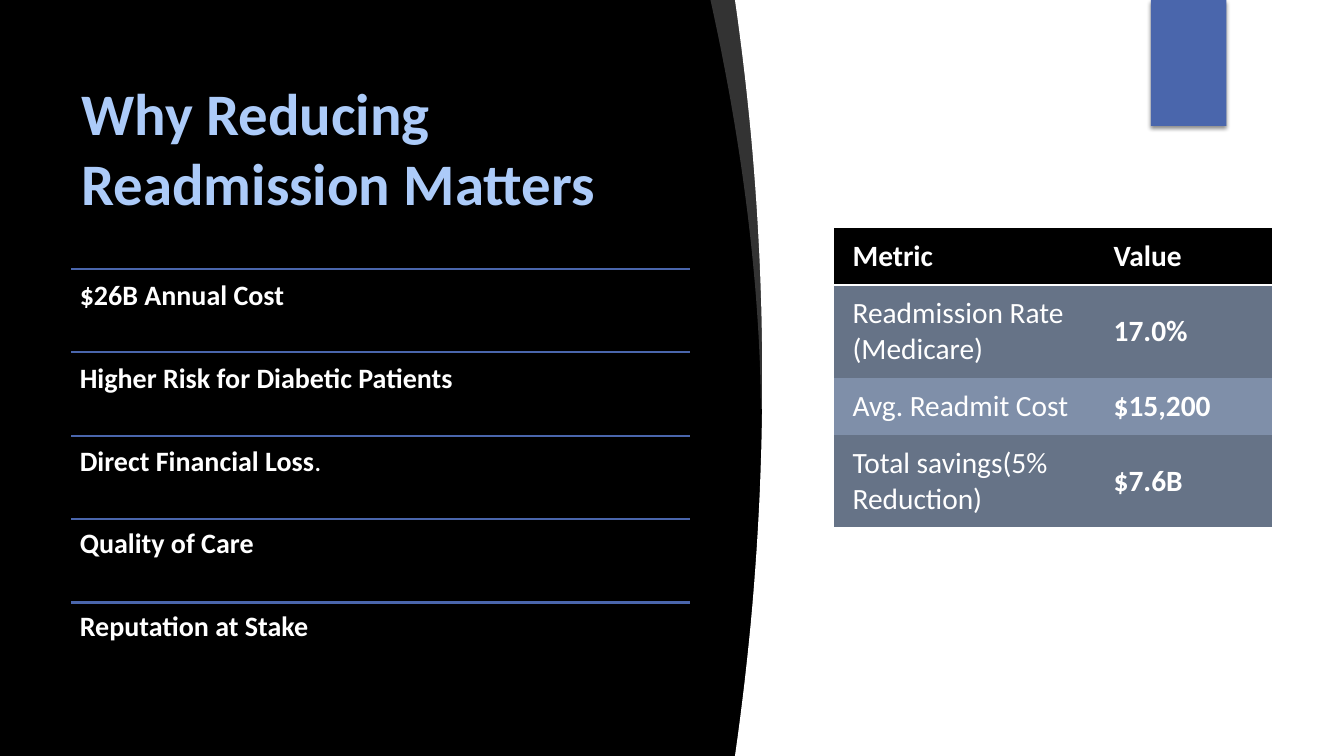
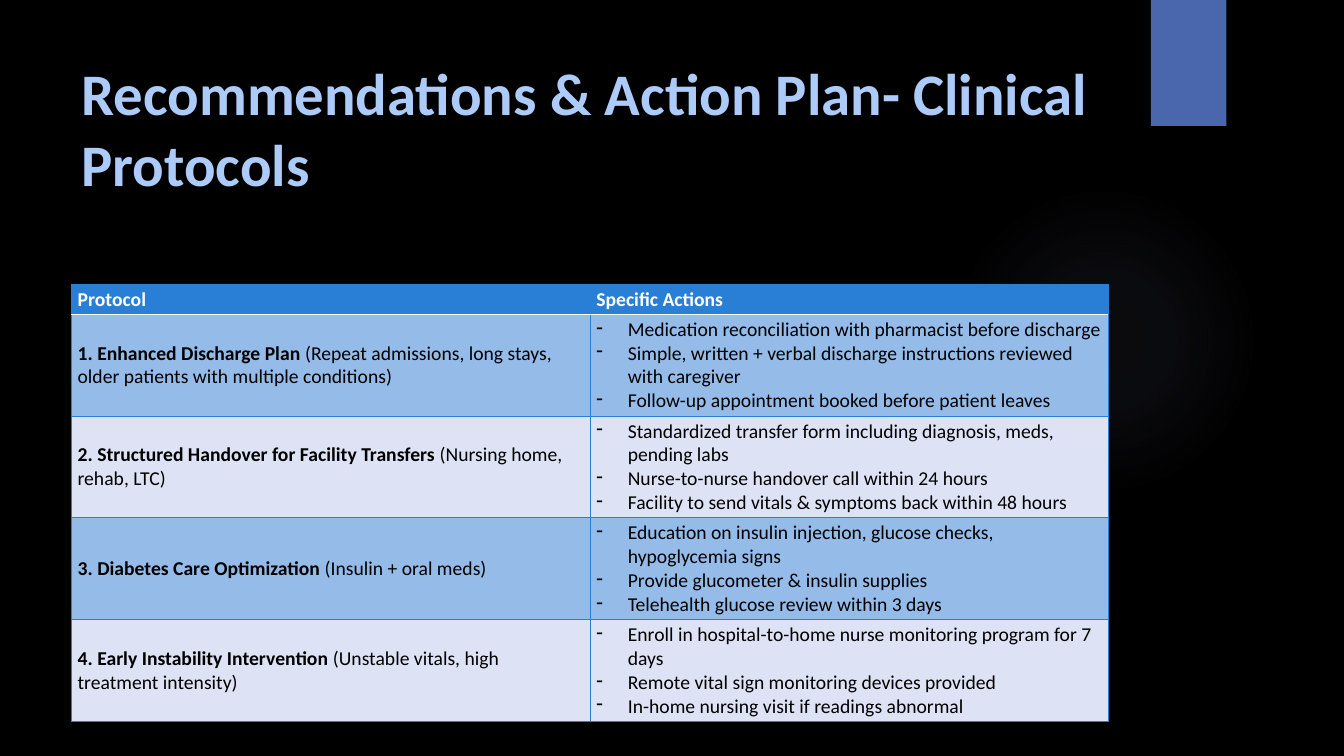
import pptx
import pptx.dml.color
import pptx.enum.shapes
import pptx.enum.text
import pptx.oxml.ns
import pptx.util
import lxml.etree

Pt = pptx.util.Pt
qn = pptx.oxml.ns.qn
PLAIN_TABLE = "{2D5ABB26-0587-4C30-8999-92F81FD0307C}"


def color(hex_string):
    return pptx.dml.color.RGBColor.from_string(hex_string)


def node(parent, tag, **attributes):
    element = lxml.etree.SubElement(parent, qn("a:" + tag))
    for key, value in attributes.items():
        element.set(key, str(value))
    return element


def color_node(parent, hex_string, opacity=100):
    node(node(parent, "srgbClr", val=hex_string), "alpha", val=opacity * 1000)


class Deck:
    FONT = "Calibri"
    BLACK, WHITE = "000000", "FFFFFF"
    TITLE, ACCENT, GLOW = "ACCBF9", "4A66AC", "9297CF"
    LEFT = 51

    def __init__(self, width, height):
        self.prs = pptx.Presentation()
        self.prs.slide_width, self.prs.slide_height = Pt(width), Pt(height)
        background = self.prs.slide_master.background.fill
        background.solid()
        background.fore_color.rgb = color(self.BLACK)
        self.slide = None

    def new_slide(self, layout):
        self.slide = self.prs.slides.add_slide(self.prs.slide_layouts[layout])

    # Text
    def runs(self, paragraph, pieces, size, hex_string):
        for text, bold in pieces:
            run = paragraph.add_run()
            run.text = text
            font = run.font
            font.name, font.size, font.bold = self.FONT, Pt(size), bold
            font.color.rgb = color(hex_string)

    def frame(self, placeholder, box, margins):
        (placeholder.left, placeholder.top,
         placeholder.width, placeholder.height) = map(Pt, box)
        frame = placeholder.text_frame
        frame.word_wrap = True
        frame.auto_size = pptx.enum.text.MSO_AUTO_SIZE.NONE
        frame.vertical_anchor = pptx.enum.text.MSO_ANCHOR.TOP
        frame.margin_left = frame.margin_right = Pt(margins[0])
        frame.margin_top = frame.margin_bottom = Pt(margins[1])
        return frame

    def title(self, text, top, width, height):
        frame = self.frame(self.slide.shapes.title,
                           (self.LEFT, top, width, height), (7.2, 4.5))
        heading = frame.paragraphs[0]
        heading.alignment = pptx.enum.text.PP_ALIGN.LEFT
        self.runs(heading, [(text, True)], 42, self.TITLE)

    def ruled_list(self, items, top, width, pitch, size=20):
        """A body list with a rule above every item."""
        frame = self.frame(self.slide.placeholders[1],
                           (self.LEFT, top, width, pitch * len(items)), (6, 6))
        for index, pieces in enumerate(items):
            item = frame.paragraphs[0] if index == 0 else frame.add_paragraph()
            item.space_before = Pt(0)
            item.space_after = Pt(pitch - size * 1.22)
            properties = item._p.get_or_add_pPr()
            properties.set("marL", "0")
            properties.set("indent", "0")
            node(properties, "buNone")
            self.runs(item, pieces, size, self.WHITE)
            self.rule(self.LEFT, top + index * pitch, width)

    # Lines and shapes
    def rule(self, left, top, width):
        line = self.slide.shapes.add_connector(
            pptx.enum.shapes.MSO_CONNECTOR.STRAIGHT,
            Pt(left), Pt(top), Pt(left + width), Pt(top))
        line.line.color.rgb = color(self.ACCENT)
        line.line.width = Pt(1.5)
        node(line._element.spPr, "effectLst")

    def paint(self, shape, hex_string, opacity=100):
        shape.fill.solid()
        shape.fill.fore_color.rgb = color(hex_string)
        shape.line.fill.background()
        shape.shadow.inherit = False
        if opacity < 100:
            tone = shape._element.spPr.find(".//" + qn("a:srgbClr"))
            node(tone, "alpha", val=opacity * 1000)

    def shape(self, kind, left, top, width, height, hex_string):
        shape = self.slide.shapes.add_shape(
            kind, Pt(left), Pt(top), Pt(width), Pt(height))
        self.paint(shape, hex_string)
        return shape

    def outline(self, points, hex_string, opacity=100):
        corners = [(Pt(x), Pt(y)) for x, y in points]
        builder = self.slide.shapes.build_freeform(*corners[0], scale=1.0)
        builder.add_line_segments(corners[1:], close=True)
        self.paint(builder.convert_to_shape(), hex_string, opacity)

    def corner_tab(self):
        tab = self.shape(pptx.enum.shapes.MSO_SHAPE.RECTANGLE,
                         822, 0, 54, 90, self.ACCENT)
        effects = tab._element.spPr.find(qn("a:effectLst"))
        shadow = node(effects, "outerShdw", blurRad=Pt(3), dist=Pt(2),
                      dir=90 * 60000, rotWithShape=0)
        color_node(shadow, self.BLACK, 45)

    def glow(self, left, top, size):
        halo = self.shape(pptx.enum.shapes.MSO_SHAPE.OVAL,
                          left, top, size, size, self.GLOW)
        properties = halo._element.spPr
        gradient = node(properties, "gradFill", rotWithShape=1)
        stops = node(gradient, "gsLst")
        for position, opacity in ((0, 7), (36, 6), (69, 0)):
            color_node(node(stops, "gs", pos=position * 1000),
                       self.GLOW, opacity)
        center = node(gradient, "path", path="circle")
        node(center, "fillToRect", l=50000, t=50000, r=50000, b=50000)
        properties.replace(properties.find(qn("a:solidFill")), gradient)

    def curved_panel(self, right, height):
        """White panel with a bowed left edge and a crescent behind it."""
        steps = [i / 40 for i in range(41)]
        tail = 292
        crescent = [(543.5 - 36 * (1 - t) ** 1.8, tail * t) for t in steps]
        self.outline(crescent + [(547, tail), (547, 0)], self.WHITE, 20)
        edge = [(525 + 19.5 * (1 - (2 * t - 1) ** 2), height * t)
                for t in steps]
        self.outline(edge + [(right, height), (right, 0)], self.WHITE)

    # Tables
    def borders(self, cell, sides):
        properties = cell._tc.get_or_add_tcPr()
        for side in "LRTB":
            hex_string, width = sides.get(side, (None, 0))
            border = node(properties, "ln" + side, w=Pt(width))
            if hex_string:
                color_node(node(border, "solidFill"), hex_string)
            else:
                node(border, "noFill")

    def table(self, left, top, widths, heights, rows, size, fills, inks,
              margins, header_line, grid=None, dashed=None):
        """Rows hold cells, cells hold paragraphs, paragraphs hold runs."""
        table = self.slide.shapes.add_table(
            len(rows), len(widths), Pt(left), Pt(top),
            Pt(sum(widths)), Pt(sum(heights))).table
        table._tbl.tblPr.find(qn("a:tableStyleId")).text = PLAIN_TABLE
        table.horz_banding = False
        for column, width in zip(table.columns, widths):
            column.width = Pt(width)
        for r, (row, height) in enumerate(zip(rows, heights)):
            table.rows[r].height = Pt(height)
            sides = dict.fromkeys("LRTB", grid) if grid else {}
            if r < 2:
                sides["B" if r == 0 else "T"] = (self.WHITE, header_line)
            for c, paragraphs in enumerate(row):
                cell = table.cell(r, c)
                self.borders(cell, sides)
                cell.fill.solid()
                cell.fill.fore_color.rgb = color(
                    fills[0] if r == 0 else fills[2 - r % 2])
                cell.vertical_anchor = pptx.enum.text.MSO_ANCHOR.MIDDLE
                cell.margin_left = cell.margin_right = Pt(margins[0])
                cell.margin_top = cell.margin_bottom = Pt(margins[1])
                frame = cell.text_frame
                for index, pieces in enumerate(paragraphs):
                    paragraph = (frame.paragraphs[0] if index == 0
                                 else frame.add_paragraph())
                    if r and c == dashed:
                        properties = paragraph._p.get_or_add_pPr()
                        properties.set("marL", str(Pt(22.5)))
                        properties.set("indent", str(Pt(-22.5)))
                        node(properties, "buChar", char="-")
                    self.runs(paragraph, pieces, size, inks[min(r, 1)])


def header(*labels):
    return [[[(label, True)]] for label in labels]


def why_it_matters(deck):
    deck.new_slide(1)
    deck.curved_panel(960, 540)
    deck.corner_tab()
    deck.title("Why Reducing Readmission Matters", 50, 442, 127)
    deck.ruled_list([
        [("$26B Annual Cost", True)],
        [("Higher Risk for Diabetic Patients", True)],
        [("Direct Financial Loss", True), (".", False)],
        [("Quality of Care", True)],
        [("Reputation at Stake", True)],
    ], 192, 442, 59.6)

    metrics = [("Readmission Rate (Medicare)", "17.0%"),
               ("Avg. Readmit Cost", "$15,200"),
               ("Total savings(5% Reduction)", "$7.6B")]
    rows = [header("Metric", "Value")]
    rows += [[[[(metric, False)]], [[(value, True)]]]
             for metric, value in metrics]
    deck.table(595.5, 162.7, (186.5, 126.5), (41, 66, 41, 66), rows, 21,
               (deck.BLACK, "667387", "7F8FA9"), (deck.WHITE, deck.WHITE),
               (13.5, 6.5), 2)


def action_plan(deck):
    deck.new_slide(5)
    deck.glow(677.5, 132, 222)
    deck.corner_tab()
    deck.title("Recommendations & Action Plan- Clinical Protocols",
               36, 741, 110)

    protocols = [
        ("1. Enhanced Discharge Plan",
         " (Repeat admissions, long stays, older patients with multiple "
         "conditions)",
         ["Medication reconciliation with pharmacist before discharge",
          "Simple, written + verbal discharge instructions reviewed with "
          "caregiver",
          "Follow-up appointment booked before patient leaves"]),
        ("2. Structured Handover for Facility Transfers",
         " (Nursing home, rehab, LTC)",
         ["Standardized transfer form including diagnosis, meds, pending labs",
          "Nurse-to-nurse handover call within 24 hours",
          "Facility to send vitals & symptoms back within 48 hours"]),
        ("3. Diabetes Care Optimization",
         " (Insulin + oral meds)",
         ["Education on insulin injection, glucose checks, hypoglycemia signs",
          "Provide glucometer & insulin supplies",
          "Telehealth glucose review within 3 days"]),
        ("4. Early Instability Intervention",
         " (Unstable vitals, high treatment intensity)",
         ["Enroll in hospital-to-home nurse monitoring program for 7 days",
          "Remote vital sign monitoring devices provided",
          "In-home nursing visit if readings abnormal"]),
    ]
    rows = [header("Protocol", "Specific Actions")]
    rows += [[[[(name, True), (scope, False)]],
              [[(action, False)] for action in actions]]
             for name, scope, actions in protocols]
    blue = "297FD5"
    deck.table(deck.LEFT, 203, (370.5, 370), (21.6,) + (72.7,) * 4, rows, 14,
               (blue, "95BBE8", "DDE3F5"), (deck.WHITE, deck.BLACK),
               (4.5, 2.2), 1.5, grid=(blue, 0.75), dashed=1)


def main():
    deck = Deck(960, 540)
    why_it_matters(deck)
    action_plan(deck)
    deck.prs.save("out.pptx")


if __name__ == "__main__":
    main()
